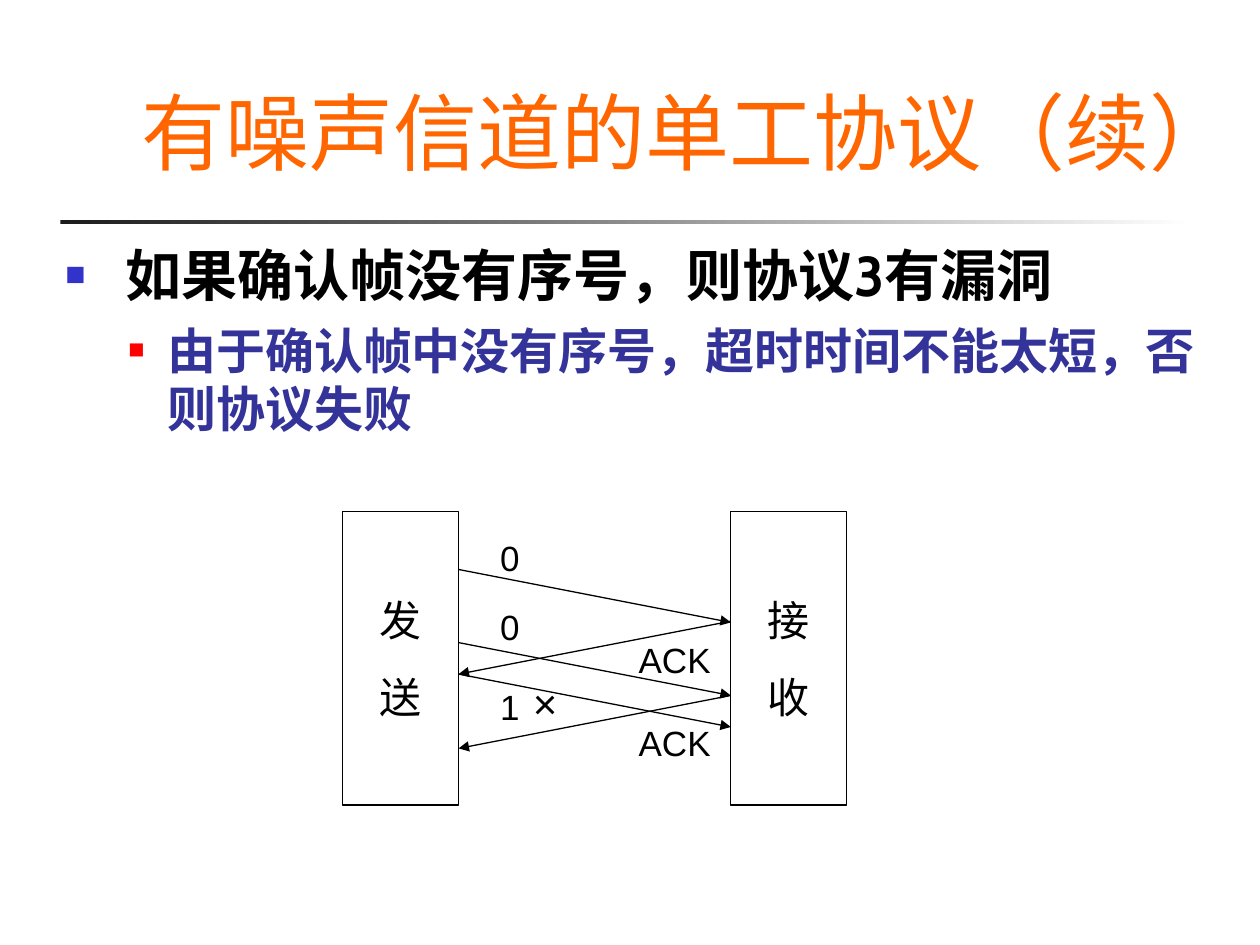
from pptx import Presentation
from pptx.dml.color import RGBColor
from pptx.enum.shapes import MSO_CONNECTOR, MSO_SHAPE
from pptx.enum.text import MSO_ANCHOR, PP_ALIGN
from pptx.oxml.ns import qn
from pptx.util import Inches, Pt
from lxml.etree import SubElement

BLACK = RGBColor(0x00, 0x00, 0x00)
WHITE = RGBColor(0xFF, 0xFF, 0xFF)
CHARCOAL = RGBColor(0x1C, 0x1C, 0x1C)
ORANGE = RGBColor(0xFF, 0x66, 0x00)
NAVY = RGBColor(0x33, 0x33, 0x99)
BLUE = RGBColor(0x33, 0x33, 0xCC)
RED = RGBColor(0xFF, 0x00, 0x00)


def style(p, size, font, color=BLACK, bold=False):
    for r in p.runs:
        r.font.size = Pt(size)
        r.font.name = font
        r.font.bold = bold
        r.font.color.rgb = color


def add_text(s, text, x, y, w, h):
    tf = s.shapes.add_textbox(Inches(x), Inches(y), Inches(w), Inches(h)).text_frame
    tf.word_wrap = True
    tf.text = text
    return tf


def set_bullet(p, left, hanging, color, percent):
    pPr = p._p.get_or_add_pPr()
    pPr.set("marL", str(Inches(left)))
    pPr.set("indent", str(-Inches(hanging)))
    clr = SubElement(pPr, qn("a:buClr"))
    SubElement(clr, qn("a:srgbClr"), val=str(color))
    SubElement(pPr, qn("a:buSzPct"), val=str(percent * 1000))
    SubElement(pPr, qn("a:buFont"), typeface="Arial")
    SubElement(pPr, qn("a:buChar"), char="■")


def add_title(s, x, y, w, h):
    tf = add_text(s, "有噪声信道的单工协议（续）", x, y, w, h)
    tf.vertical_anchor = MSO_ANCHOR.BOTTOM
    p = tf.paragraphs[0]
    p.alignment = PP_ALIGN.CENTER
    style(p, 48, "Cabin", ORANGE)


def add_rule(s, x, y, w, h):
    sp = s.shapes.add_shape(MSO_SHAPE.RECTANGLE, Inches(x), Inches(y), Inches(w), Inches(h))
    sp.shadow.inherit = False
    sp.line.fill.background()
    sp.fill.gradient()
    sp.fill.gradient_angle = 0
    for stop, color in zip(sp.fill.gradient_stops, (CHARCOAL, WHITE)):
        stop.color.rgb = color


def add_body(s, x, y, w, h):
    tf = add_text(s, "如果确认帧没有序号，则协议3有漏洞", x, y, w, h)
    p = tf.paragraphs[0]
    set_bullet(p, 0.48, 0.48, BLUE, 60)
    style(p, 32, "Cabin", BLACK, bold=True)

    p = tf.add_paragraph()
    p.text = "由于确认帧中没有序号，超时时间不能太短，否则协议失败"
    p.level = 1
    p.space_before = Pt(7)
    set_bullet(p, 0.81, 0.31, RED, 55)
    style(p, 28, "Cabin", NAVY, bold=True)


def add_station(s, name, x, y, w, h):
    sp = s.shapes.add_shape(MSO_SHAPE.RECTANGLE, Inches(x), Inches(y), Inches(w), Inches(h))
    sp.shadow.inherit = False
    sp.fill.background()
    sp.line.color.rgb = BLACK
    sp.line.width = Pt(0.75)
    tf = sp.text_frame
    tf.vertical_anchor = MSO_ANCHOR.MIDDLE
    tf.text = "\n".join(name)
    for i, p in enumerate(tf.paragraphs):
        p.alignment = PP_ALIGN.CENTER
        if i:
            p.space_before = Pt(15)
        style(p, 24, "Times New Roman")


def add_arrow(s, x1, y1, x2, y2):
    c = s.shapes.add_connector(MSO_CONNECTOR.STRAIGHT, Inches(x1), Inches(y1),
                               Inches(x2), Inches(y2))
    c.line.color.rgb = BLACK
    c.line.width = Pt(0.75)
    SubElement(c.line._get_or_add_ln(), qn("a:tailEnd"), type="triangle")
    SubElement(c._element.spPr, qn("a:effectLst"))


def add_exchange(s, x, y, w, h):
    # Sender and receiver
    box_w = 0.92
    send_x, recv_x = x + box_w, x + w - box_w
    add_station(s, "发送", x, y, box_w, h)
    add_station(s, "接收", recv_x, y, box_w, h)

    # Frames go right, acknowledgements go left, each with the same delay
    delay = 0.42
    for start in (0.46, 1.04, 1.29):
        add_arrow(s, send_x, y + start, recv_x, y + start + delay)
    for start in (0.87, 1.46):
        add_arrow(s, recv_x, y + start, send_x, y + start + delay)

    # Labels: text, offset from the box, width, size
    labels = [("0", 1.15, 0.15, 0.42, 20), ("0", 1.15, 0.70, 0.42, 20),
              ("1", 1.15, 1.33, 0.42, 20), ("ACK", 2.25, 0.96, 1, 20),
              ("ACK", 2.25, 1.62, 1, 20), ("×", 1.41, 1.27, 0.42, 24)]
    for text, dx, dy, label_w, size in labels:
        tf = add_text(s, text, x + dx, y + dy, label_w, 0.44)
        style(tf.paragraphs[0], size, "Arial")


def main():
    prs = Presentation()
    prs.slide_width, prs.slide_height = Inches(10), Inches(7.5)
    s = prs.slides.add_slide(prs.slide_layouts[6])
    add_rule(s, 0.48, 1.75, 8.99, 0.03)
    add_title(s, 0.92, 0.5, 9.08, 0.99)
    add_body(s, 0.42, 1.86, 9.25, 2.89)
    add_exchange(s, 2.72, 4.06, 4, 2.33)
    prs.save("out.pptx")


if __name__ == "__main__":
    main()
